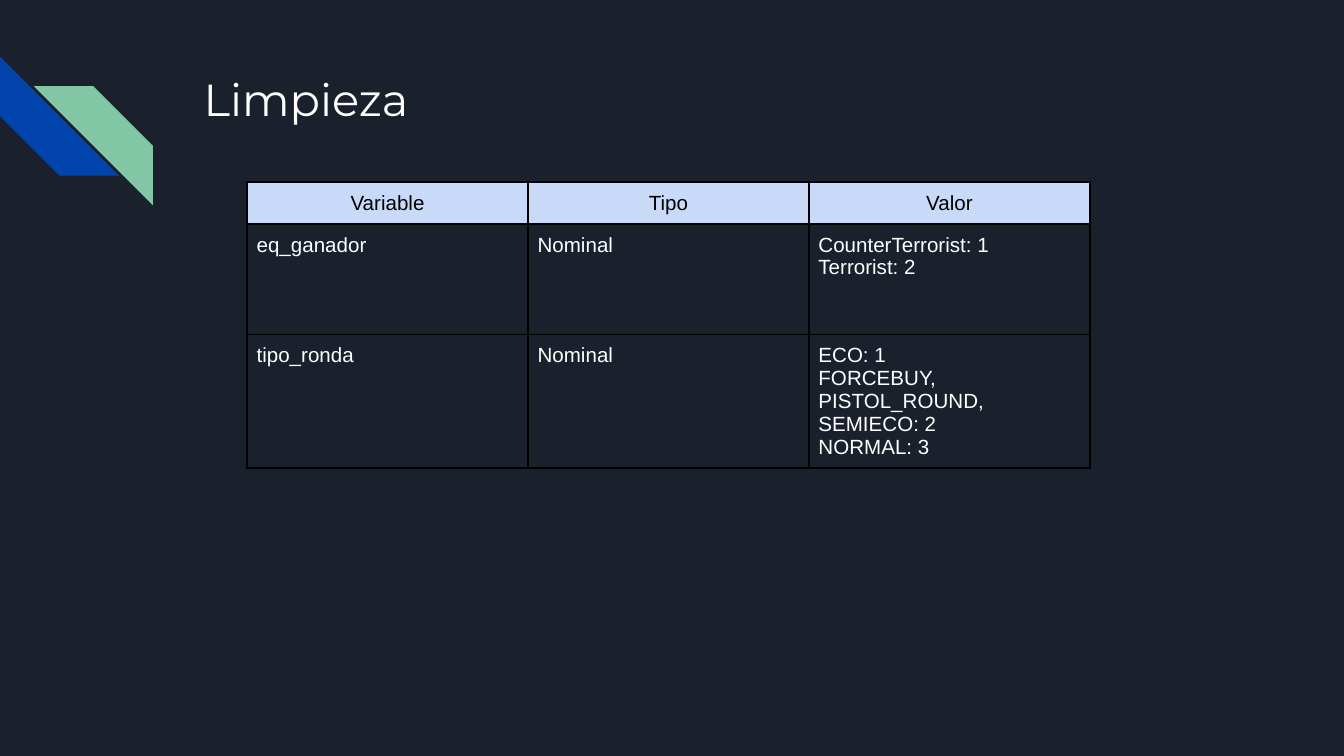
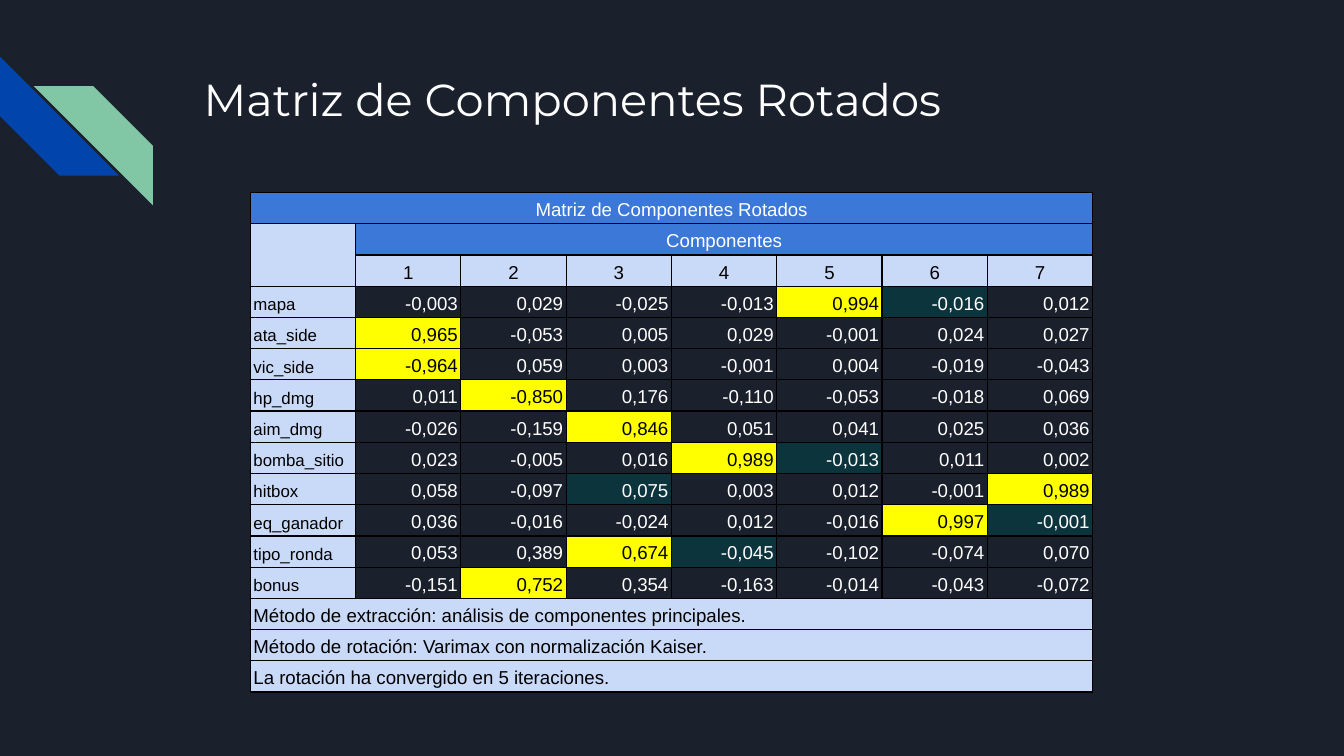
from lxml import etree
from pptx import Presentation
from pptx.dml.color import RGBColor
from pptx.enum.shapes import MSO_SHAPE as SHAPE
from pptx.enum.text import MSO_ANCHOR as ANCHOR, MSO_AUTO_SIZE as AUTO, PP_ALIGN as ALIGN
from pptx.oxml.ns import qn
from pptx.util import Cm, Pt

NIGHT, BLUE, GREEN = "1B212C", "0145AC", "82C7A5"
WHITE, BLACK = "FFFFFF", "000000"
PALE, BAND, YELLOW, TEAL = "C9DAF8", "3C78D8", "FFFF00", "0C343D"


def paint(target, color):
    """Give a fill or a font the solid colour of a hex string."""
    if hasattr(target, "solid"):
        target.solid()
        target.fore_color.rgb = RGBColor.from_string(color)
    else:
        target.color.rgb = RGBColor.from_string(color)


def write_cell(cell, text, size, color, fill=None, align=ALIGN.LEFT,
               inset=0.18, border=1, spacing=None, anchor=ANCHOR.TOP):
    """Write one paragraph per line of text and frame the cell in black."""
    cell.margin_left = cell.margin_right = Cm(inset)
    cell.margin_top = cell.margin_bottom = Cm(inset)
    cell.vertical_anchor = anchor
    tcPr = cell._tc.get_or_add_tcPr()
    for side in ("a:lnL", "a:lnR", "a:lnT", "a:lnB"):
        ln = etree.SubElement(tcPr, qn(side), w=str(Pt(border)))
        solid = etree.SubElement(ln, qn("a:solidFill"))
        etree.SubElement(solid, qn("a:srgbClr"), val=BLACK)
    if fill:
        paint(cell.fill, fill)
    else:
        cell.fill.background()
    tf = cell.text_frame
    for i, line in enumerate(text.split("\n")):
        p = tf.add_paragraph() if i else tf.paragraphs[0]
        p.alignment = align
        if spacing:
            p.line_spacing = spacing
        if line:
            r = p.add_run()
            r.text = line
            r.font.name = "Arial"
            r.font.size = Pt(size)
            paint(r.font, color)
        else:
            etree.SubElement(p._p, qn("a:endParaRPr"), sz=str(size * 100))


prs = Presentation()
prs.slide_width, prs.slide_height = Cm(25.4), Cm(14.29)
paint(prs.slide_master.background.fill, NIGHT)

# Title and corner stripes on every slide
slides = []
for title in ("Limpieza", "Matriz de Componentes Rotados"):
    s = prs.slides.add_slide(prs.slide_layouts[5])
    for left, top, color in ((0, 1.07, BLUE), (0.64, 1.63, GREEN)):
        sp = s.shapes.add_shape(SHAPE.DIAGONAL_STRIPE, Cm(left), Cm(top), Cm(2.25), Cm(2.25))
        sp.shadow.inherit = False
        paint(sp.fill, color)
        sp.line.fill.background()
        if color == BLUE:
            sp.rotation = 270
        else:
            sp._element.spPr.find(qn("a:xfrm")).set("flipH", "1")
    sp = s.shapes.title
    sp.left, sp.top, sp.width, sp.height = Cm(3.6), Cm(1.1), Cm(19.55), Cm(2.54)
    tf = sp.text_frame
    tf.word_wrap = True
    tf.auto_size = AUTO.NONE
    tf.vertical_anchor = ANCHOR.TOP
    tf.margin_left = tf.margin_right = tf.margin_top = tf.margin_bottom = Cm(0.25)
    p = tf.paragraphs[0]
    p.alignment = ALIGN.LEFT
    r = p.add_run()
    r.text = title
    r.font.name = "Montserrat"
    r.font.size = Pt(24)
    paint(r.font, WHITE)
    slides.append(s)

# Slide 1: recoded variables
rows = [
    ("Variable", "Tipo", "Valor"),
    ("eq_ganador", "Nominal", "CounterTerrorist: 1\nTerrorist: 2"),
    ("tipo_ronda", "Nominal",
     "ECO: 1\nFORCEBUY, PISTOL_ROUND, SEMIECO: 2\nNORMAL: 3"),
]
heights = (0.77, 2.09, 2.51)
table = slides[0].shapes.add_table(3, 3, Cm(4.67), Cm(3.44), Cm(15.93), Cm(sum(heights))).table
table.first_row = table.horz_banding = False
for col in table.columns:
    col.width = Cm(5.31)
for i, row in enumerate(rows):
    table.rows[i].height = Cm(heights[i])
    for j, text in enumerate(row):
        if i == 0:
            write_cell(table.cell(i, j), text, 11, BLACK, PALE, ALIGN.CENTER)
        else:
            write_cell(table.cell(i, j), text, 11, WHITE)

# Slide 2: rotated component matrix
loadings = """mapa -0,003 0,029 -0,025 -0,013 0,994 -0,016 0,012
ata_side 0,965 -0,053 0,005 0,029 -0,001 0,024 0,027
vic_side -0,964 0,059 0,003 -0,001 0,004 -0,019 -0,043
hp_dmg 0,011 -0,850 0,176 -0,110 -0,053 -0,018 0,069
aim_dmg -0,026 -0,159 0,846 0,051 0,041 0,025 0,036
bomba_sitio 0,023 -0,005 0,016 0,989 -0,013 0,011 0,002
hitbox 0,058 -0,097 0,075 0,003 0,012 -0,001 0,989
eq_ganador 0,036 -0,016 -0,024 0,012 -0,016 0,997 -0,001
tipo_ronda 0,053 0,389 0,674 -0,045 -0,102 -0,074 0,070
bonus -0,151 0,752 0,354 -0,163 -0,014 -0,043 -0,072"""
teal_columns = {"mapa": 6, "bomba_sitio": 5, "hitbox": 3, "eq_ganador": 7, "tipo_ronda": 4}
footnotes = (
    "Método de extracción: análisis de componentes principales.",
    "Método de rotación: Varimax con normalización Kaiser.",
    "La rotación ha convergido en 5 iteraciones.",
)
blank = [""] * 7
rows = [["Matriz de Componentes Rotados"] + blank,
        ["", "Componentes"] + blank[1:],
        [""] + [str(n) for n in range(1, 8)]]
rows += [line.split() for line in loadings.split("\n")]
rows += [[note] + blank for note in footnotes]
first_note = len(rows) - len(footnotes)

table = slides[1].shapes.add_table(len(rows), 8, Cm(4.73), Cm(3.64),
                                   Cm(8 * 1.99), Cm(len(rows) * 0.59)).table
table.first_row = table.horz_banding = False
for col in table.columns:
    col.width = Cm(1.99)
for i, row in enumerate(rows):
    table.rows[i].height = Cm(0.59)
    for j, text in enumerate(row):
        size, color, fill, align = 10, BLACK, PALE, ALIGN.LEFT
        if i == 0 or (i == 1 and j):
            color, fill, align = WHITE, BAND, ALIGN.CENTER
        elif i == 2:
            align = ALIGN.CENTER
        elif 2 < i < first_note:
            if j == 0:
                size = 9
            else:
                align = ALIGN.RIGHT
                color, fill = WHITE, None
                if abs(float(text.replace(",", "."))) > 0.6:
                    color, fill = BLACK, YELLOW
                elif teal_columns.get(row[0]) == j:
                    fill = TEAL
        write_cell(table.cell(i, j), text, size, color, fill, align,
                   inset=0.06, border=0.75, spacing=1.15, anchor=ANCHOR.BOTTOM)

table.cell(1, 0).merge(table.cell(2, 0))
table.cell(1, 1).merge(table.cell(1, 7))
for i in (0, *range(first_note, len(rows))):
    table.cell(i, 0).merge(table.cell(i, 7))

prs.save("out.pptx")
